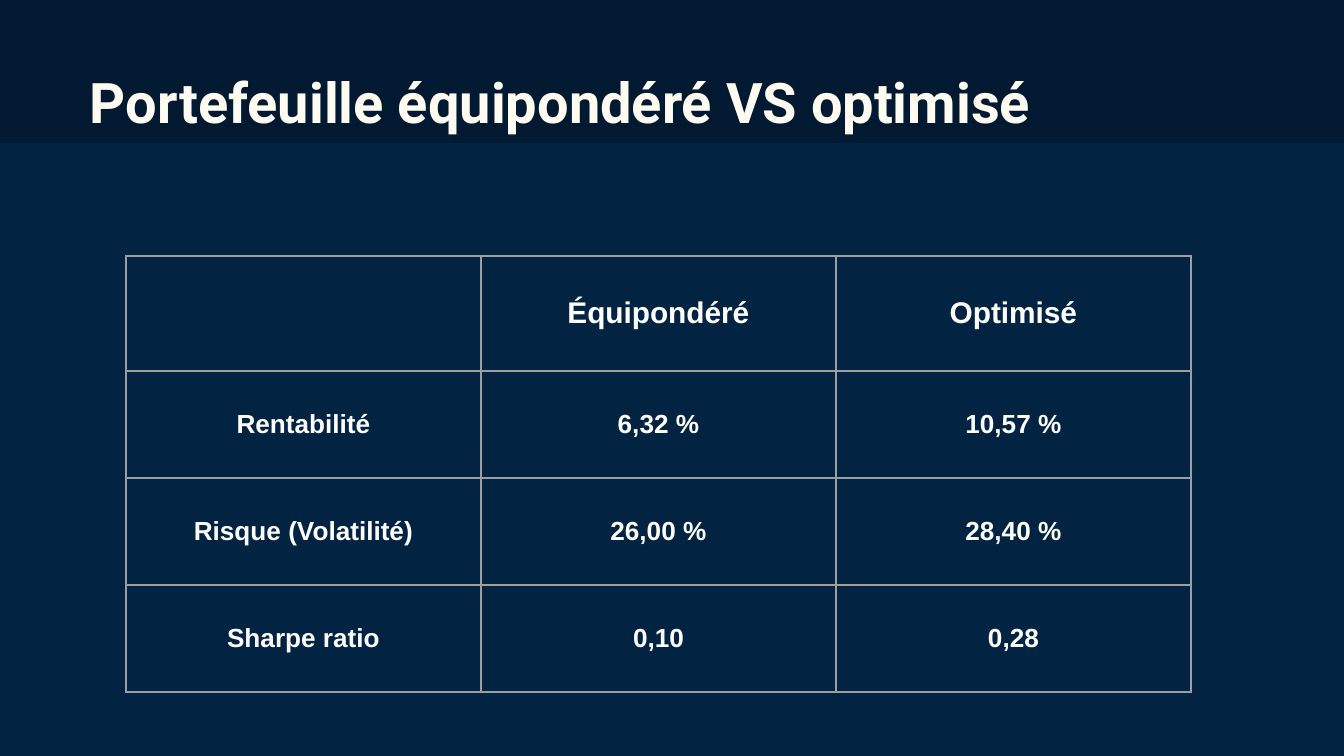
from pptx import Presentation
from pptx.dml.color import RGBColor
from pptx.enum.shapes import MSO_SHAPE
from pptx.enum.text import MSO_ANCHOR as ANCHOR, PP_ALIGN as ALIGN
from pptx.oxml import parse_xml
from pptx.oxml.ns import nsdecls, qn
from pptx.util import Emu, Pt
from lxml.etree import SubElement

SCALE = 914400 / 134.4
INSET = 13
COLORS = {
    "background": "022442",
    "band": "000000",
    "title": "FFFBF0",
    "text": "FFFFFF",
    "border": "9E9E9E",
}
ROWS = [
    ("", "Équipondéré", "Optimisé"),
    ("Rentabilité", "6,32 %", "10,57 %"),
    ("Risque (Volatilité)", "26,00 %", "28,40 %"),
    ("Sharpe ratio", "0,10", "0,28"),
]


def px(n):
    """Turn pixels into EMU."""
    return Emu(round(n * SCALE))


def color(name):
    """Return a palette colour."""
    return RGBColor.from_string(COLORS[name])


def set_font(p, name, size, color_name):
    """Set a bold font on a paragraph."""
    p.font.name = name
    p.font.size = Pt(size)
    p.font.bold = True
    p.font.color.rgb = color(color_name)


def set_margins(box):
    """Give a text frame or cell equal insets."""
    box.margin_left = box.margin_right = px(INSET)
    box.margin_top = box.margin_bottom = px(INSET)


def add_band(s, left, top, width, height):
    """Add the translucent band behind the title."""
    sp = s.shapes.add_shape(MSO_SHAPE.RECTANGLE, *map(px, (left, top, width, height)))
    sp.shadow.inherit = False
    sp.line.fill.background()
    sp.fill.solid()
    sp.fill.fore_color.rgb = color("band")
    clr = sp.fill._xPr.find(qn("a:solidFill"))[0]
    SubElement(clr, qn("a:alpha")).set("val", "25000")


def add_title(s, text, left, top, width, height):
    """Add the slide title."""
    tf = s.shapes.add_textbox(*map(px, (left, top, width, height))).text_frame
    tf.word_wrap = True
    tf.vertical_anchor = ANCHOR.MIDDLE
    set_margins(tf)
    p = tf.paragraphs[0]
    p.text = text
    set_font(p, "Roboto", 30, "title")


def set_borders(cell):
    """Draw a thin line on every side of a cell."""
    tc_pr = cell._tc.get_or_add_tcPr()
    for i, side in enumerate(("lnL", "lnR", "lnT", "lnB")):
        tc_pr.insert(i, parse_xml(
            f'<a:{side} {nsdecls("a")} w="{Pt(0.75)}"><a:solidFill>'
            f'<a:srgbClr val="{COLORS["border"]}"/></a:solidFill></a:{side}>'))


def fill_cell(cell, text, size):
    """Write and style one table cell."""
    cell.fill.background()
    set_borders(cell)
    set_margins(cell)
    cell.vertical_anchor = ANCHOR.MIDDLE
    p = cell.text_frame.paragraphs[0]
    p.text = text
    p.alignment = ALIGN.CENTER
    set_font(p, "Arial", size, "text")


def add_comparison(s, left, top, col_width, header_height, row_height):
    """Add the portfolio comparison table."""
    n_rows, n_cols = len(ROWS), len(ROWS[0])
    height = header_height + (n_rows - 1) * row_height
    table = s.shapes.add_table(
        n_rows, n_cols, *map(px, (left, top, n_cols * col_width, height))).table
    table.first_row = table.horz_banding = False
    for col in table.columns:
        col.width = px(col_width)
    for i, values in enumerate(ROWS):
        table.rows[i].height = px(row_height if i else header_height)
        for j, text in enumerate(values):
            fill_cell(table.cell(i, j), text, 14 if i else 16)


def main():
    """Build and save the slide."""
    prs = Presentation()
    prs.slide_width, prs.slide_height = px(1344), px(756)
    s = prs.slides.add_slide(prs.slide_layouts[6])
    s.background.fill.solid()
    s.background.fill.fore_color.rgb = color("background")
    add_band(s, -8, -15, 1364, 158)
    add_title(s, "Portefeuille équipondéré VS optimisé", 77, 45, 1164, 113)
    add_comparison(s, 126, 256, 355, 115, 107)
    prs.save("out.pptx")


if __name__ == "__main__":
    main()
